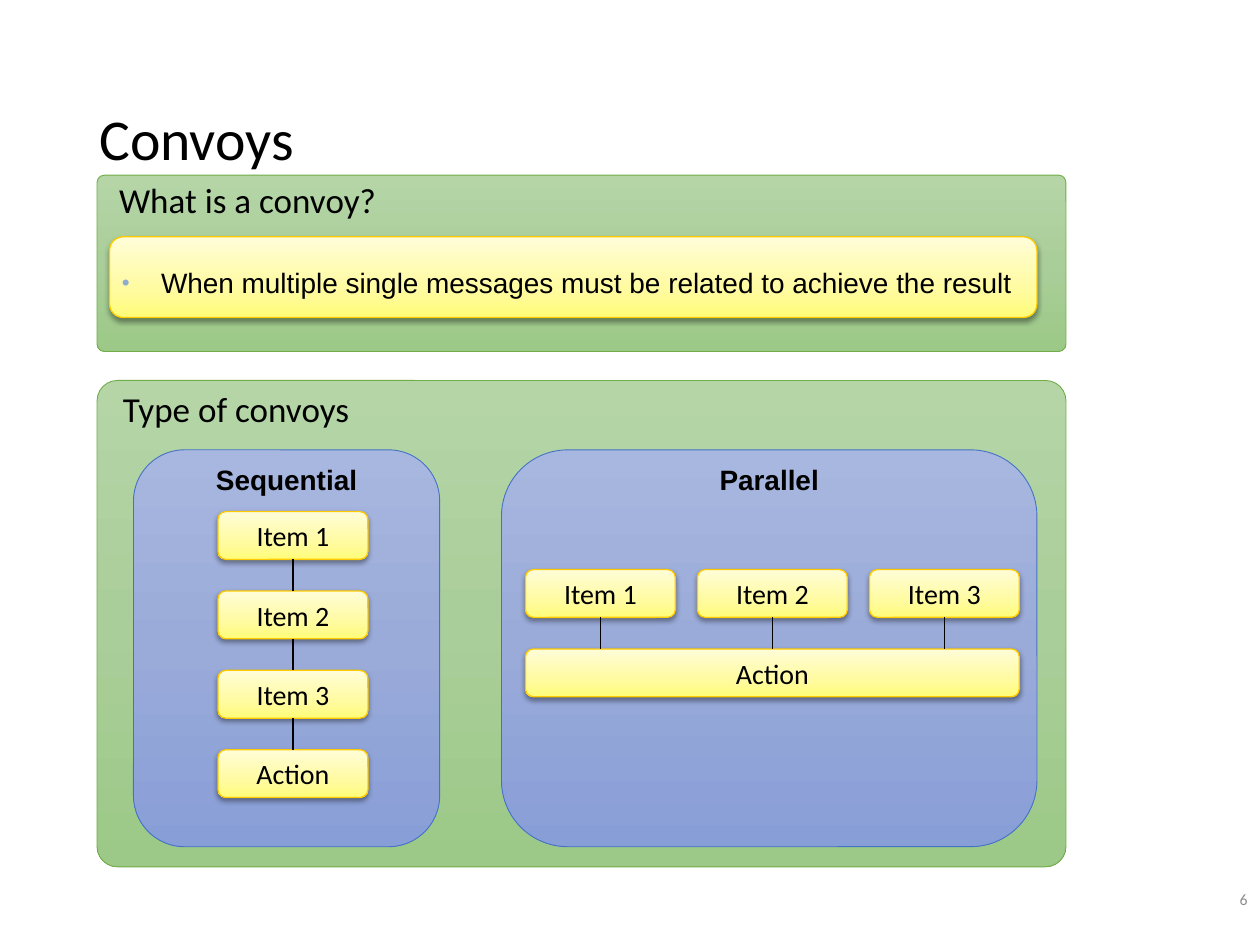
import pptx
import pptx.util
import pptx.enum.shapes
import pptx.enum.text
import pptx.dml.color
import pptx.oxml
import pptx.oxml.ns

COLUMNS, ROWS = 100, 75
WIDTH, HEIGHT = pptx.util.Inches(10), pptx.util.Inches(7.5)
COLORS = {"text": "000000", "number": "8C8C8C", "bullet": "8DACD0"}
STYLES = {
    "panel": {"stops": {0: "B5D5A7", 50: "AACE9A", 100: "9CC987"}, "line": "70AD47", "weight": 0.5},
    "group": {"stops": {0: "A8B7DF", 50: "9AABD9", 100: "889ED7"}, "line": "4472C4", "weight": 0.5},
    "card": {"stops": {0: "FFFDD7", 65: "FFFBA1", 100: "FFFC78"}, "line": "FFCB00", "weight": 0.75},
}
ALIGN = pptx.enum.text.PP_ALIGN
ANCHOR = pptx.enum.text.MSO_ANCHOR
ITEMS = ["Item 1", "Item 2", "Item 3"]
CARD_WIDTH, CARD_HEIGHT, STEP = 11.9, 3.8, 6.3
BOX_FORMAT = {"word_wrap": True, "vertical_anchor": ANCHOR.TOP}
CARD_FORMAT = {"word_wrap": False, "vertical_anchor": ANCHOR.MIDDLE, "margin_left": 0,
               "margin_right": 0, "margin_top": 0, "margin_bottom": 0}


def across(columns):
    """Return the length of a number of grid columns."""
    return round(WIDTH * columns / COLUMNS)


def down(rows):
    """Return the length of a number of grid rows."""
    return round(HEIGHT * rows / ROWS)


def place(left, top, width, height):
    """Turn grid cells into slide lengths."""
    return across(left), down(top), across(width), down(height)


def color(value):
    """Return a colour from its hex string."""
    return pptx.dml.color.RGBColor.from_string(value)


def element(xml):
    """Parse a drawing element from its markup."""
    tag, rest = xml[1:].split(" ", 1)
    return pptx.oxml.parse_xml(f"<{tag} {pptx.oxml.ns.nsdecls('a')} {rest}")


def assign(target, values):
    """Set attributes from a dict of values."""
    for name, value in values.items():
        setattr(target, name, value)


def write(shape, text, size, font="Calibri", ink="text", bold=False, frame=BOX_FORMAT, bullet=False, **layout):
    """Write one formatted paragraph into a shape."""
    assign(shape.text_frame, frame)
    paragraph = shape.text_frame.paragraphs[0]
    paragraph.text = text
    assign(paragraph, {"alignment": ALIGN.LEFT, **layout})
    if bullet:
        properties = paragraph._p.get_or_add_pPr()
        indent = across(3.1)
        properties.set("marL", str(indent))
        properties.set("indent", str(-indent))
        for xml in (f'<a:buClr ><a:srgbClr val="{COLORS["bullet"]}"/></a:buClr>',
                    '<a:buSzPct val="80000"/>', '<a:buFont typeface="Arial"/>', '<a:buChar char="•"/>'):
            properties.append(element(xml))
    run_font = paragraph.runs[0].font
    assign(run_font, {"name": font, "size": pptx.util.Pt(size), "bold": bold})
    run_font.color.rgb = color(COLORS[ink])


def add_text(slide, area, text, size, **formats):
    """Add a text box."""
    write(slide.shapes.add_textbox(*place(*area)), text, size, **formats)


def add_box(slide, area, style, corner=0.167):
    """Add a rounded box with a vertical gradient."""
    kind = pptx.enum.shapes.MSO_SHAPE.ROUNDED_RECTANGLE
    shape = slide.shapes.add_shape(kind, *place(*area))
    shape.adjustments[0] = corner
    shape.fill.gradient()
    shape.fill.gradient_angle = 270
    stops = shape._element.spPr.find(".//" + pptx.oxml.ns.qn("a:gsLst"))
    for stop in list(stops):
        stops.remove(stop)
    for position, value in STYLES[style]["stops"].items():
        stops.append(element(f'<a:gs pos="{position * 1000}"><a:srgbClr val="{value}"/></a:gs>'))
    shape.line.color.rgb = color(STYLES[style]["line"])
    shape.line.width = pptx.util.Pt(STYLES[style]["weight"])
    shape.shadow.inherit = False
    return shape


def add_card(slide, area, text=None):
    """Add a shadowed yellow card with an optional label."""
    shape = add_box(slide, area, "card")
    blur, distance = pptx.util.Pt(3.1), pptx.util.Pt(1.6)
    shape._element.spPr.find(pptx.oxml.ns.qn("a:effectLst")).append(element(
        f'<a:outerShdw blurRad="{blur}" dist="{distance}" dir="5400000" rotWithShape="0">'
        '<a:srgbClr val="000000"><a:alpha val="38000"/></a:srgbClr></a:outerShdw>'))
    if text:
        write(shape, text, 16, frame=CARD_FORMAT, alignment=ALIGN.CENTER)


def add_link(slide, column, top):
    """Add a vertical line from a card down to the next row."""
    kind = pptx.enum.shapes.MSO_CONNECTOR.STRAIGHT
    line = slide.shapes.add_connector(kind, across(column), down(top + CARD_HEIGHT),
                                      across(column), down(top + STEP))
    line.line.color.rgb = color(COLORS["text"])
    line.line.width = pptx.util.Pt(0.75)
    line._element.spPr.append(element("<a:effectLst />"))


def add_panel(slide, top, height, heading):
    """Add a green panel with its heading."""
    shape = add_box(slide, (7.7, top, 76.9, height), "panel", 0.042)
    write(shape, heading, 20, line_spacing=0.9)
    shape.text_frame.paragraphs[0]._p.get_or_add_pPr().set("marL", str(across(0.6)))


def add_group(slide, left, width, heading):
    """Add a blue group with its bold heading."""
    add_box(slide, (left, 35.7, width, 31.5), "group")
    add_text(slide, (left, 36.5, width, 3.4), heading, 16, font="Arial", bold=True,
             alignment=ALIGN.CENTER, line_spacing=0.9)


def add_sequential(slide):
    """Add the chain of cards."""
    left, top = 17.3, 40.6
    add_group(slide, 10.6, 24.3, "Sequential")
    for index, label in enumerate(ITEMS + ["Action"]):
        add_card(slide, (left, top + index * STEP, CARD_WIDTH, CARD_HEIGHT), label)
    for index in range(len(ITEMS)):
        add_link(slide, left + CARD_WIDTH / 2, top + index * STEP)


def add_parallel(slide):
    """Add the cards side by side above a shared action."""
    left, top, width = 41.7, 45.2, 39.2
    pitch = (width - CARD_WIDTH) / (len(ITEMS) - 1)
    add_group(slide, 39.8, 42.5, "Parallel")
    for index, label in enumerate(ITEMS):
        add_card(slide, (left + index * pitch, top, CARD_WIDTH, CARD_HEIGHT), label)
    add_card(slide, (left, top + STEP, width, CARD_HEIGHT), "Action")
    for index in range(len(ITEMS)):
        add_link(slide, left + CARD_WIDTH / 2 + index * pitch, top)


def main():
    """Build and save the slide."""
    presentation = pptx.Presentation()
    assign(presentation, {"slide_width": WIDTH, "slide_height": HEIGHT})
    slide = presentation.slides.add_slide(presentation.slide_layouts[6])
    middle = {"word_wrap": True, "vertical_anchor": ANCHOR.MIDDLE}
    add_text(slide, (6.9, 4, 86.2, 14.5), "Convoys", 33, frame=middle, line_spacing=0.9)
    add_text(slide, (94.9, 69.4, 5.1, 4), "6", 9, ink="number", frame=middle, alignment=ALIGN.RIGHT)
    add_panel(slide, 30.2, 38.6, "Type of convoys")
    add_panel(slide, 13.9, 14, "What is a convoy?")
    add_card(slide, (8.7, 18.8, 73.6, 6.4))
    add_text(slide, (8.7, 20.9, 73.6, 3.4),
             "When multiple single messages must be related to achieve the result",
             16, font="Arial", bullet=True, line_spacing=0.9)
    add_sequential(slide)
    add_parallel(slide)
    presentation.save("out.pptx")


if __name__ == "__main__":
    main()
